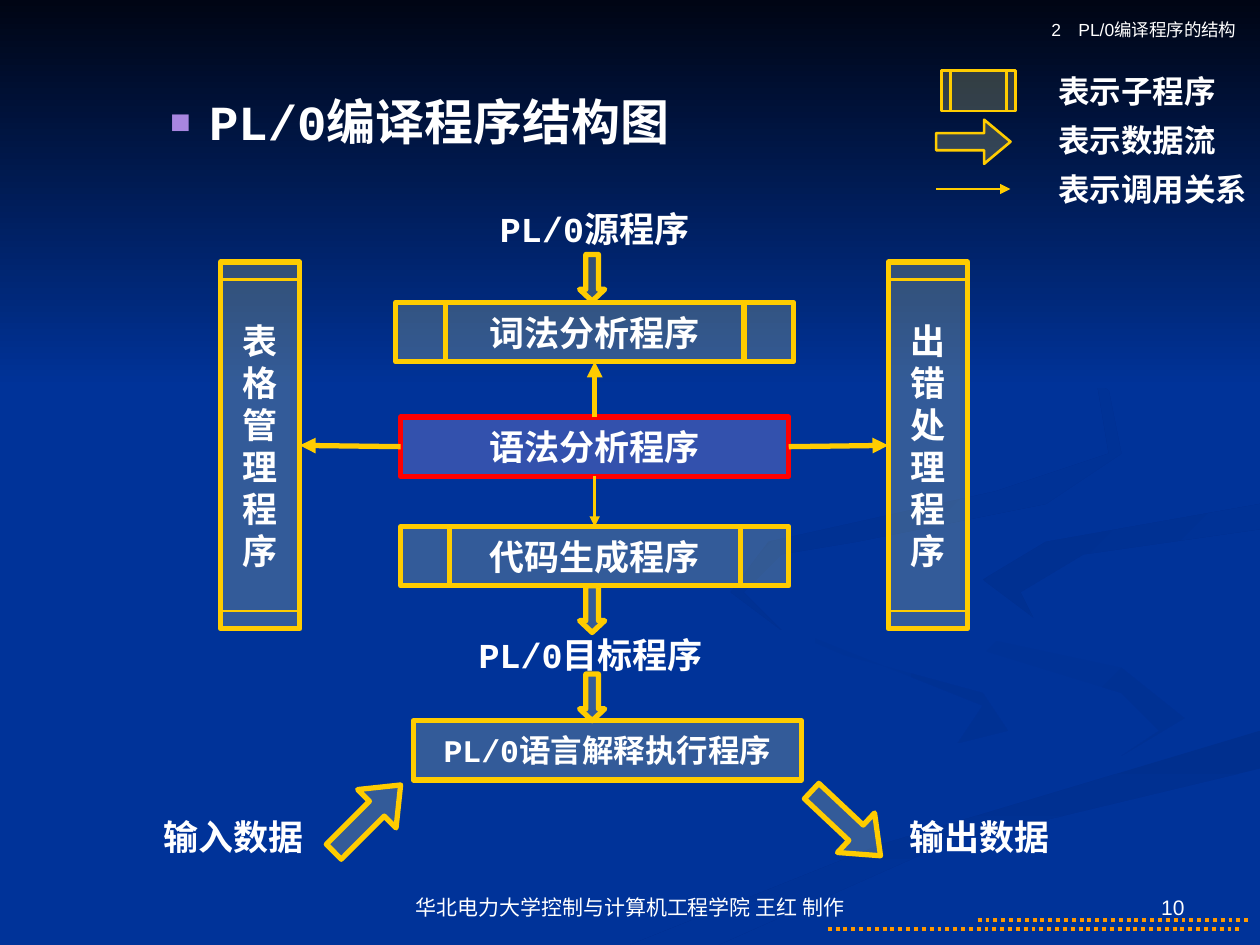
"""Build the slide showing the structure of the PL/0 compiler."""
from lxml import etree
from pptx import Presentation
from pptx.dml.color import RGBColor
from pptx.enum.dml import MSO_LINE
from pptx.enum.shapes import MSO_CONNECTOR, MSO_SHAPE
from pptx.enum.text import MSO_ANCHOR, MSO_AUTO_SIZE, PP_ALIGN
from pptx.oxml.ns import qn
from pptx.util import Inches, Pt

TOP, MIDDLE, BOTTOM = MSO_ANCHOR.TOP, MSO_ANCHOR.MIDDLE, MSO_ANCHOR.BOTTOM
LEFT, CENTER, RIGHT = PP_ALIGN.LEFT, PP_ALIGN.CENTER, PP_ALIGN.RIGHT
SUBROUTINE = MSO_SHAPE.FLOWCHART_PREDEFINED_PROCESS
PROCESS, RECTANGLE = MSO_SHAPE.FLOWCHART_PROCESS, MSO_SHAPE.RECTANGLE
DOWN, UP = MSO_SHAPE.DOWN_ARROW, MSO_SHAPE.UP_ARROW
STRAIGHT = MSO_CONNECTOR.STRAIGHT
SITE_TOP, SITE_LEFT, SITE_BOTTOM, SITE_RIGHT = range(4)

COLORS = {"blue": "003399", "night": "000514", "shade": "002F8E", "mist": "003193",
          "gold": "FFCC00", "cream": "FFFF99", "pink": "FFCCFF", "red": "FF0000",
          "white": "FFFFFF", "orange": "FF9900", "violet": "A886E0"}
SANS, MONO = "Arial", "Courier New"
THIN, THICK = 1.5, 3
PAGE_WIDTH, PAGE_HEIGHT = 10, 7.5
SWIRL_SCALE = Inches(0.1)

SWIRLS = [
    ("blue", "mist", 0, [(78, 55), (67, 52), (60, 49), (57, 46), (58, 48), (68, 52),
                         (78, 56), (76, 59), (80, 58)]),
    ("blue", "mist", 45, [(94, 57), (89, 53), (75, 50), (72, 46), (76, 51), (89, 55),
                          (92, 58), (89, 60)]),
    ("shade", "blue", 90, [(50, 75), (57, 75), (75, 67), (100, 61), (100, 58), (70, 67)]),
    ("shade", "blue", 45, [(78, 46), (82, 49), (81, 47), (86, 44), (100, 42), (100, 40),
                           (83, 43)]),
    ("shade", "blue", 45, [(68, 43), (83, 40), (89, 36), (88, 31), (76, 23), (87, 30),
                           (88, 36), (79, 39), (61, 43), (58, 47), (62, 50), (59, 47),
                           (62, 44)]),
]
DOTTED = [(7.76, 7.3, 9.92), (6.57, 7.37, 9.84)]

TITLE = "PL/0编译程序结构图"
LEGEND = ["表示子程序", "表示数据流", "表示调用关系"]
LEGEND_LEFT, LEGEND_TOP, LEGEND_STEP = 8.3, 0.52, 0.39
DATA = [("输入数据 ", 1.14), ("输出数据 ", 7.06)]
PROGRAMS = [("PL/0源程序", 1.58, 0.46), ("PL/0目标程序 ", 5.01, 0.37)]
FOOTER = [("10", 7.17, 2.33, RIGHT),
          ("华北电力大学控制与计算机工程学院 王红 制作", 3.11, 3.78, CENTER)]
HEADER = "2　PL/0编译程序的结构"

MID, STAGE_HEIGHT = 4.72, 0.47
STAGES = [("lexer", "词法分析程序", SUBROUTINE, 2.4, 3.16, 20, "cream", "gold"),
          ("parser", "语法分析程序", RECTANGLE, 3.31, 3.08, 20, "pink", "red"),
          ("generator", "代码生成程序", SUBROUTINE, 4.18, 3.08, 20, "cream", "gold")]
INTERPRETER, INTERPRETER_PLACE = "PL/0语言解释执行程序", (3.28, 5.72, 3.08, STAGE_HEIGHT)
PILLARS = [("tables", "表格管理程序", 1.75), ("errors", "出错处理程序", 7.05)]
PILLAR_TOP, PILLAR_WIDTH, PILLAR_HEIGHT, BAR_INSET = 2.08, 0.63, 2.91, 0.14
CALLS = [("lexer", SITE_TOP, SITE_BOTTOM, THICK), ("generator", SITE_BOTTOM, SITE_TOP, THIN),
         ("tables", SITE_LEFT, SITE_RIGHT, THICK), ("errors", SITE_RIGHT, SITE_LEFT, THICK)]
FLOWS = [(UP, (7.55, 0.83, 0.35, 0.59), 90, (0.39, 0.6), THIN),
         (UP, (2.7, 6.12, 0.43, 0.75), 45, (0.39, 0.62), THICK),
         (UP, (6.5, 6.16, 0.43, 0.75), 133.2, (0.39, 0.62), THICK)]
FLOWS += [(DOWN, (4.6, top, 0.2, 0.37), 0, (0.5, 0.47), THICK) for top in (2.02, 4.65, 5.35)]


def rgb(name):
    return RGBColor.from_string(COLORS[name])


def write(frame, text, size, font, bold, align, anchor, wrap=True):
    frame.text = text
    frame.word_wrap, frame.vertical_anchor = wrap, anchor
    for para in frame.paragraphs:
        para.alignment = align
        for span in para.runs:
            span.font.size, span.font.name, span.font.bold = Pt(size), font, bold
            span.font.color.rgb = rgb("white")


def add_label(page, text, place, *style):
    write(page.shapes.add_textbox(*map(Inches, place)).text_frame, text, *style)


def shade(shape, start, end, angle):
    shape.shadow.inherit = False
    shape.line.fill.background()
    shape.fill.gradient()
    shape.fill.gradient_angle = -angle % 360
    for stop, name in zip(shape.fill.gradient_stops, (start, end)):
        stop.color.rgb = rgb(name)


def add_backdrop(page):
    page.background.fill.solid()
    page.background.fill.fore_color.rgb = rgb("blue")
    for start, end, angle, points in SWIRLS:
        builder = page.shapes.build_freeform(*points[0], scale=SWIRL_SCALE)
        builder.add_line_segments(points[1:], close=True)
        shade(builder.convert_to_shape(), start, end, angle)
    sky = page.shapes.add_shape(RECTANGLE, 0, 0, Inches(PAGE_WIDTH), Inches(3.08))
    shade(sky, "night", "blue", 90)
    for left, top, right in DOTTED:
        dots = add_line(page, (left, top, right, top), "orange", 2.25)
        dots.line.dash_style = MSO_LINE.ROUND_DOT


def add_glass(page, kind, place, fill, line, width):
    shape = page.shapes.add_shape(kind, *map(Inches, place))
    shape.shadow.inherit = False
    shape.fill.solid()
    shape.fill.fore_color.rgb = rgb(fill)
    color = shape._element.spPr.find(qn("a:solidFill")).find(qn("a:srgbClr"))
    etree.SubElement(color, qn("a:alpha"), val="20000")
    shape.line.color.rgb, shape.line.width = rgb(line), Pt(width)
    return shape


def add_box(page, text, kind, place, size=20, fill="cream", line="gold"):
    box = add_glass(page, kind, place, fill, line, THICK)
    box.text_frame.margin_left = box.text_frame.margin_right = Inches(0.02)
    write(box.text_frame, text, size, MONO, True, CENTER, MIDDLE)
    return box


def add_line(page, ends, color, width, arrow=False):
    line = page.shapes.add_connector(STRAIGHT, *map(Inches, ends))
    line.line.color.rgb, line.line.width = rgb(color), Pt(width)
    if arrow:
        outline = line._element.spPr.find(qn("a:ln"))
        etree.SubElement(outline, qn("a:tailEnd"), type="triangle")
    etree.SubElement(line._element.spPr, qn("a:effectLst"))
    return line


def add_title(page):
    title = page.shapes.title
    title.element.getparent().append(title.element)
    title.left, title.top, title.width, title.height = map(Inches, (0.75, 0.68, 9.21, 6.21))
    title.text_frame.auto_size = MSO_AUTO_SIZE.NONE
    write(title.text_frame, TITLE, 28, MONO, True, LEFT, TOP)
    props = title.text_frame.paragraphs[0]._p.get_or_add_pPr()
    props.set("marL", str(Inches(0.81)))
    props.set("indent", str(Inches(-0.31)))
    bullet_color = etree.SubElement(props, qn("a:buClr"))
    etree.SubElement(bullet_color, qn("a:srgbClr"), val=COLORS["violet"])
    etree.SubElement(props, qn("a:buSzPct"), val="70000")
    etree.SubElement(props, qn("a:buFont"), typeface=SANS)
    etree.SubElement(props, qn("a:buChar"), char="■")


def add_structure(page):
    boxes = {}
    for name, text, kind, top, width, *style in STAGES:
        place = (MID - width / 2, top, width, STAGE_HEIGHT)
        boxes[name] = add_box(page, text, kind, place, *style)
    add_box(page, INTERPRETER, PROCESS, INTERPRETER_PLACE, 18)
    for name, text, left in PILLARS:
        place = (left, PILLAR_TOP, PILLAR_WIDTH, PILLAR_HEIGHT)
        boxes[name] = add_box(page, "\n".join(text), PROCESS, place)
        for row in (PILLAR_TOP + BAR_INSET, PILLAR_TOP + PILLAR_HEIGHT - BAR_INSET):
            add_line(page, (left, row, left + PILLAR_WIDTH, row), "gold", THIN)
    for name, begin, end, width in CALLS:
        call = add_line(page, (0, 0, 1, 1), "gold", width, arrow=True)
        call.begin_connect(boxes["parser"], begin)
        call.end_connect(boxes[name], end)
    for kind, place, turn, shares, width in FLOWS:
        arrow = add_glass(page, kind, place, "cream", "gold", width)
        arrow.rotation = turn
        arrow.adjustments[0], arrow.adjustments[1] = shares


def add_labels(page):
    add_glass(page, SUBROUTINE, (7.47, 0.56, 0.59, 0.32), "cream", "gold", THIN)
    add_line(page, (7.43, 1.5, 8.02, 1.5), "gold", THIN, arrow=True)
    for row, text in enumerate(LEGEND):
        place = (LEGEND_LEFT, LEGEND_TOP + row * LEGEND_STEP, 0.21 + len(text) / 4, 0.4)
        add_label(page, text, place, 18, SANS, True, LEFT, TOP, False)
    for text, left in DATA:
        add_label(page, text, (left, 6.42, 1.49, 0.43), 20, MONO, True, CENTER, MIDDLE, False)
    for text, top, height in PROGRAMS:
        add_label(page, text, (MID - 1.15, top, 2.3, height), 20, MONO, True, CENTER, MIDDLE)
    for text, left, width, align in FOOTER:
        add_label(page, text, (left, 6.83, width, 0.52), 12, SANS, False, align, BOTTOM)
    add_label(page, HEADER, (8.22, 0.1, 1.69, 0.27), 10, SANS, False, RIGHT, TOP)


def main():
    deck = Presentation()
    deck.slide_width, deck.slide_height = Inches(PAGE_WIDTH), Inches(PAGE_HEIGHT)
    page = deck.slides.add_slide(deck.slide_layouts[5])
    add_backdrop(page)
    add_title(page)
    add_structure(page)
    add_labels(page)
    deck.save("out.pptx")


if __name__ == "__main__":
    main()
